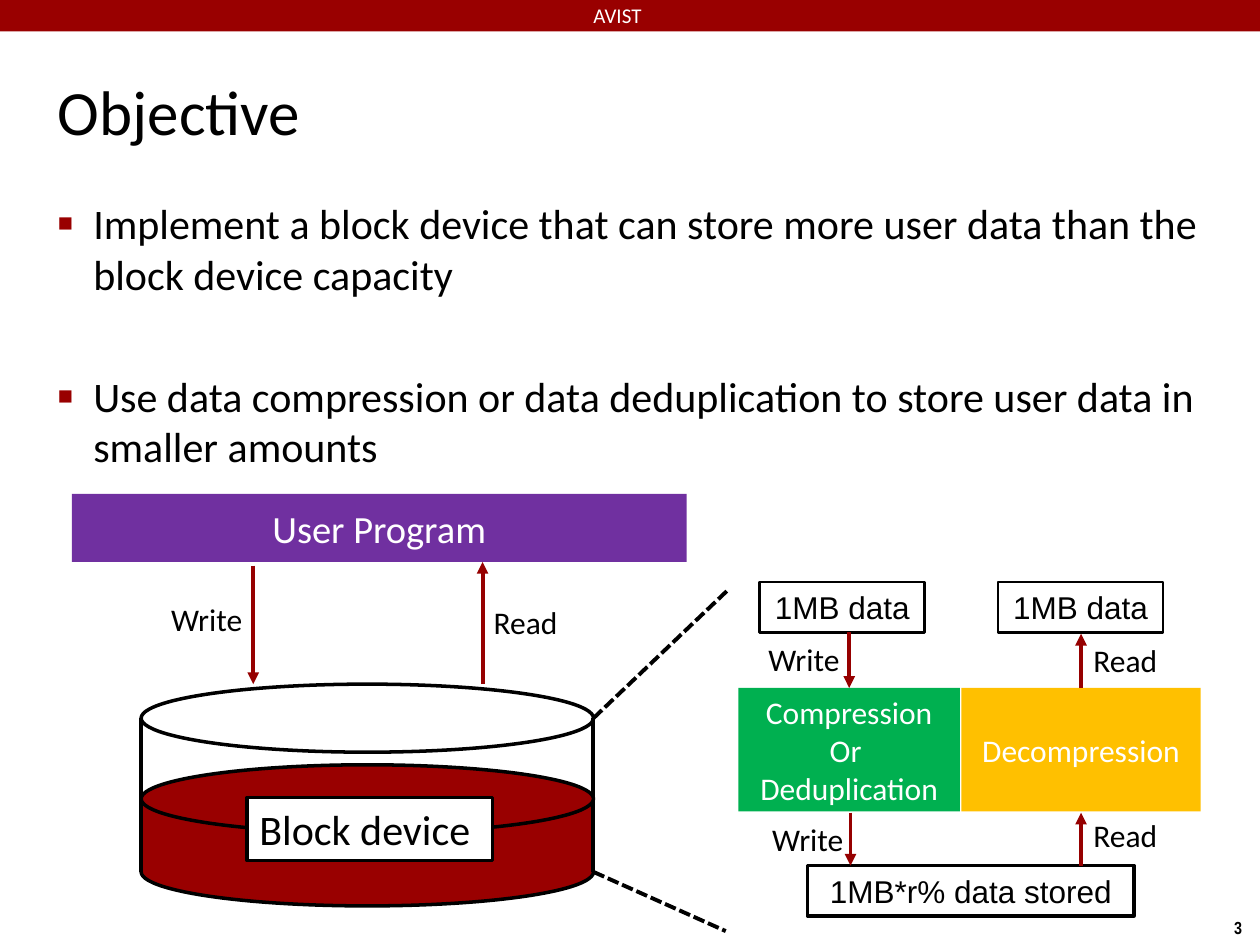
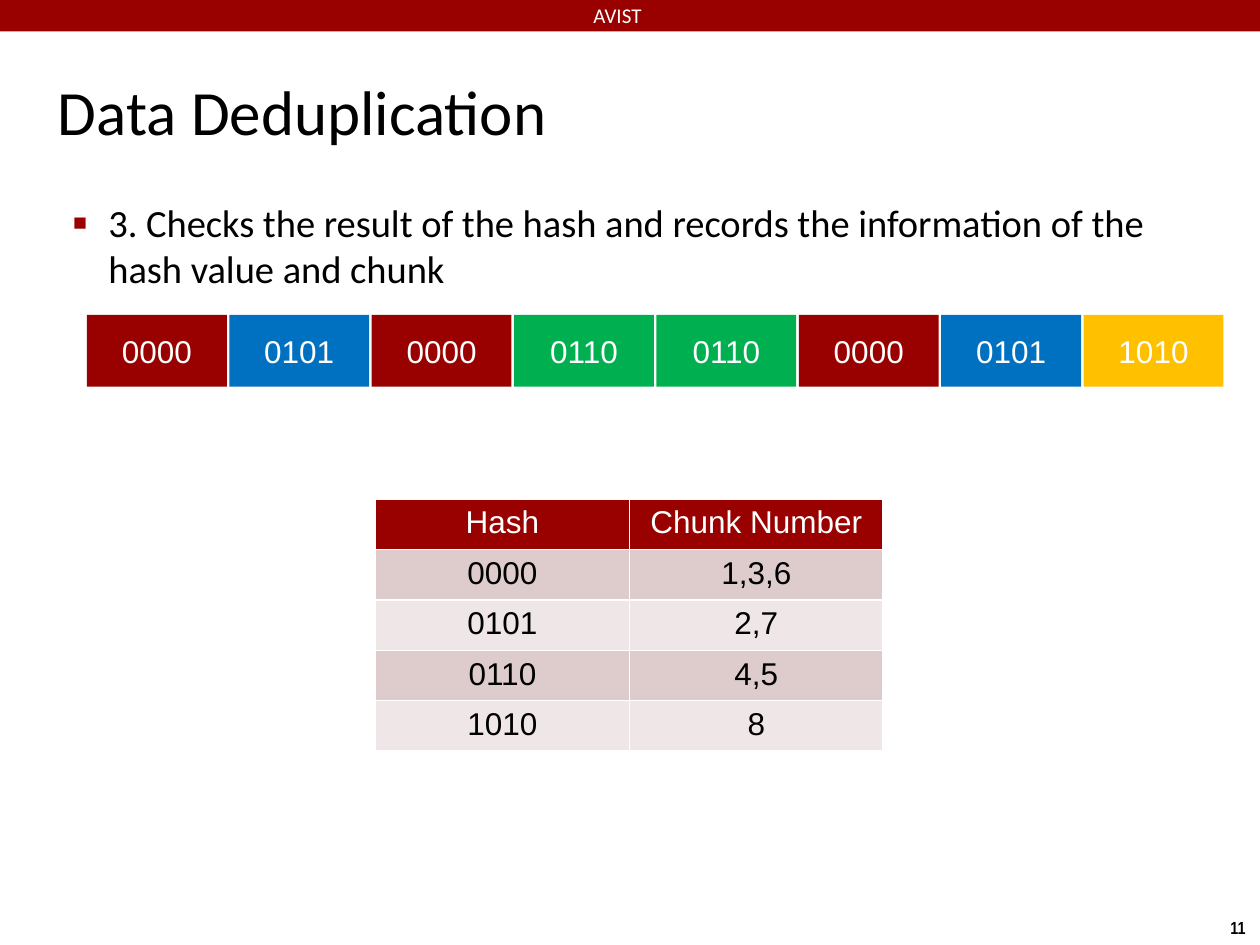
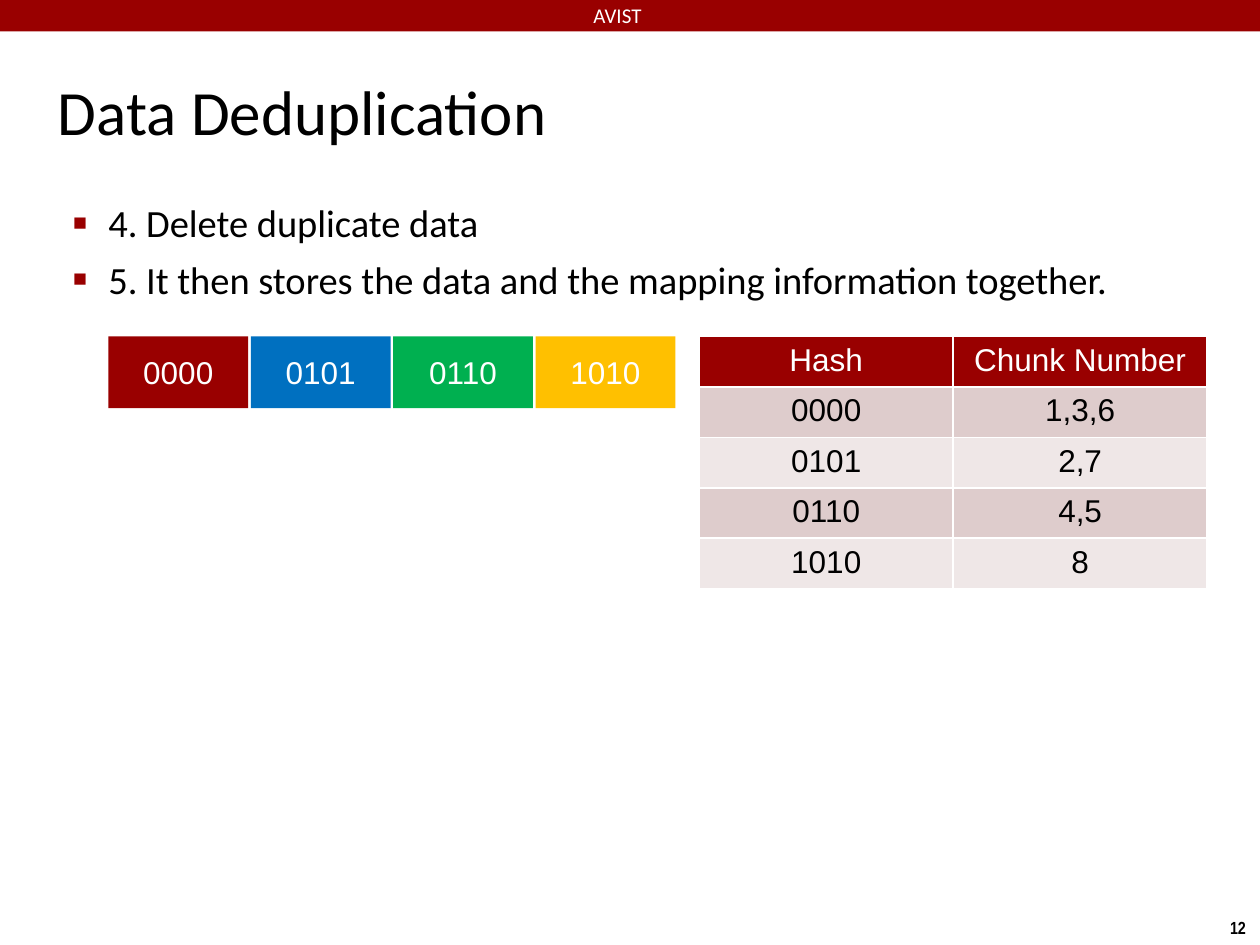
"""Build three slides on block device compression and deduplication."""
from lxml.etree import SubElement
from pptx import Presentation
from pptx.dml.color import RGBColor
from pptx.enum.dml import MSO_LINE
from pptx.enum.shapes import MSO_CONNECTOR, MSO_SHAPE
from pptx.enum.text import MSO_ANCHOR, MSO_AUTO_SIZE, PP_ALIGN
from pptx.oxml.ns import qn
from pptx.util import Pt

PX = 9144
SLIDE_WIDTH, SLIDE_HEIGHT = 1000, 750
CRIMSON = RGBColor(0x99, 0x00, 0x00)
ARROW_RED = RGBColor(0x96, 0x00, 0x00)
PURPLE = RGBColor(0x70, 0x30, 0xA0)
BLUE = RGBColor(0x00, 0x70, 0xC0)
GREEN = RGBColor(0x00, 0xB0, 0x50)
AMBER = RGBColor(0xFF, 0xC0, 0x00)
ROSE = RGBColor(0xDE, 0xCC, 0xCC)
PALE_ROSE = RGBColor(0xEF, 0xE7, 0xE7)
BLACK = RGBColor(0x00, 0x00, 0x00)
WHITE = RGBColor(0xFF, 0xFF, 0xFF)

HASH_COLORS = {"0000": CRIMSON, "0101": BLUE, "0110": GREEN, "1010": AMBER}
HASH_ROWS = [("Hash", "Chunk Number"), ("0000", "1,3,6"), ("0101", "2,7"),
             ("0110", "4,5"), ("1010", "8")]
TITLE_BOX = (42, 28, 917, 119)


def px(*lengths):
    return [length * PX for length in lengths]


def apply(target, values):
    for name, value in values.items():
        setattr(target, name, value)


class Deck:
    """Hold the shared style and the current slide."""

    def __init__(self):
        self.presentation = Presentation()
        apply(self.presentation, {"slide_width": SLIDE_WIDTH * PX,
                                  "slide_height": SLIDE_HEIGHT * PX})
        self.slide = None

    def new_slide(self, title, number):
        self.slide = self.presentation.slides.add_slide(self.presentation.slide_layouts[1])
        self.box((0, 0, SLIDE_WIDTH, 25), CRIMSON)
        frame = self.place(self.slide.shapes.title, TITLE_BOX, MSO_ANCHOR.MIDDLE)
        self.add_text(frame, [title], 36)
        self.label("AVIST", (471, 2, 60, 22), 12, color=WHITE, inset=0)
        self.label(number, (952, 723, 61, 30), 10, font="Arial Narrow",
                   bold=True, align=PP_ALIGN.CENTER)

    def set_insets(self, frame, inset):
        sides = ("left", "top", "right", "bottom")
        apply(frame, {f"margin_{side}": inset * PX for side in sides})

    def place(self, shape, box, anchor):
        apply(shape, dict(zip(("left", "top", "width", "height"), px(*box))))
        frame = shape.text_frame
        apply(frame, {"auto_size": MSO_AUTO_SIZE.NONE, "word_wrap": True,
                      "vertical_anchor": anchor})
        self.set_insets(frame, 4)
        return frame

    def add_text(self, frame, lines, size, color=BLACK, font="Calibri",
                 align=PP_ALIGN.LEFT, bold=False):
        for index, line in enumerate(lines):
            paragraph = frame.add_paragraph() if index else frame.paragraphs[0]
            paragraph.alignment = align
            run = paragraph.add_run()
            run.text = line
            apply(run.font, {"name": font, "size": Pt(size), "bold": bold})
            run.font.color.rgb = color

    def bullets(self, lines, box, size, level=0, gap=6):
        frame = self.place(self.slide.placeholders[1], box, MSO_ANCHOR.TOP)
        self.add_text(frame, lines, size)
        for index, paragraph in enumerate(frame.paragraphs):
            apply(paragraph, {"level": level, "space_before": Pt(gap if index else 6)})
            properties = paragraph._p.get_or_add_pPr()
            properties.set("marL", str(28 * PX))
            properties.set("indent", str(-28 * PX))
            color = SubElement(properties, qn("a:buClr"))
            SubElement(color, qn("a:srgbClr"), val=str(CRIMSON))
            SubElement(properties, qn("a:buSzPct"), val="60000")
            SubElement(properties, qn("a:buFont"), typeface="Arial")
            SubElement(properties, qn("a:buChar"), char="■")

    def label(self, text, box, size=18, inset=None, **style):
        frame = self.slide.shapes.add_textbox(*px(*box)).text_frame
        frame.word_wrap = False
        if inset is not None:
            self.set_insets(frame, inset)
        self.add_text(frame, [text], size, **style)

    def box(self, box, fill, lines=(), size=18, border=0, kind=MSO_SHAPE.RECTANGLE,
            color=WHITE, align=PP_ALIGN.CENTER, **style):
        shape = self.slide.shapes.add_shape(kind, *px(*box))
        shape.shadow.inherit = False
        shape.fill.solid()
        shape.fill.fore_color.rgb = fill
        if border:
            shape.line.color.rgb = BLACK
            shape.line.width = Pt(border)
        else:
            shape.line.fill.background()
        apply(shape.text_frame, {"word_wrap": True, "vertical_anchor": MSO_ANCHOR.MIDDLE})
        self.add_text(shape.text_frame, lines, size, color=color, align=align, **style)

    def line(self, start, end, color=BLACK, dash=None, arrow=False):
        connector = self.slide.shapes.add_connector(MSO_CONNECTOR.STRAIGHT,
                                                    *px(*start, *end))
        connector.line.color.rgb = color
        apply(connector.line, {"width": Pt(2.25), "dash_style": dash})
        if arrow:
            SubElement(connector.line._get_or_add_ln(), qn("a:tailEnd"), type="triangle")
        SubElement(connector._element.spPr, qn("a:effectLst"))

    def chunks(self, hashes, left, top):
        for index, value in enumerate(hashes):
            self.box((left + index * 113, top, 111, 57), HASH_COLORS[value],
                     [value], font="Arial")

    def table(self, rows, left, top):
        row_height = 38
        table = self.slide.shapes.add_table(
            len(rows), len(rows[0]), *px(left, top, 403, row_height * len(rows))).table
        for row_index, values in enumerate(rows):
            table.rows[row_index].height = row_height * PX
            fill = (ROSE if row_index % 2 else PALE_ROSE) if row_index else CRIMSON
            for column_index, value in enumerate(values):
                cell = table.cell(row_index, column_index)
                self.add_text(cell.text_frame, [value], 18, font="Arial",
                              color=BLACK if row_index else WHITE, align=PP_ALIGN.CENTER)
                self.cell_borders(cell)
                cell.fill.solid()
                cell.fill.fore_color.rgb = fill

    def cell_borders(self, cell):
        properties = cell._tc.get_or_add_tcPr()
        for side in "LRTB":
            border = SubElement(properties, qn(f"a:ln{side}"), w=str(int(Pt(1))))
            SubElement(SubElement(border, qn("a:solidFill")), qn("a:srgbClr"),
                       val=str(WHITE))


def draw_block_device(deck):
    left, right, width, height = 112, 471, 359, 54
    deck.box((left, 665, width, height), CRIMSON, border=2, kind=MSO_SHAPE.OVAL)
    deck.box((left, 638, width, height), CRIMSON)
    deck.box((left, 543, width, height), WHITE, border=2, kind=MSO_SHAPE.OVAL)
    for side in (left, right):
        deck.line((side, 570), (side, 692))
    deck.box((left, 607, width, height), CRIMSON, border=2, kind=MSO_SHAPE.OVAL)
    deck.box((196, 633, 195, 50), WHITE, ["Block device"], 24, border=2,
             color=BLACK, align=PP_ALIGN.LEFT)
    for start, end in (((right, 570), (578, 468)), ((right, 692), (576, 739))):
        deck.line(start, end, dash=MSO_LINE.SQUARE_DOT)


def objective_slide(deck):
    deck.new_slide("Objective", "3")
    deck.bullets(
        ["Implement a block device that can store more user data than the block device capacity",
         "Use data compression or data deduplication to store user data in smaller amounts"],
        (42, 153, 917, 577), 24, gap=41)
    deck.box((57, 392, 488, 54), PURPLE, ["User Program"], 22)
    draw_block_device(deck)
    deck.box((586, 546, 176, 98), GREEN, ["Compression", "Or ", "Deduplication"])
    deck.box((763, 546, 190, 98), AMBER, ["Decompression"])
    for left in (603, 792):
        deck.box((left, 462, 131, 40), WHITE, ["1MB data"], border=1.5,
                 color=BLACK, font="Arial")
    deck.box((641, 687, 259, 40), WHITE, ["1MB*r% data stored"], border=2,
             color=BLACK, font="Arial")
    for x, start, end in ((201, 449, 543), (383, 543, 446), (674, 502, 546),
                          (675, 645, 687), (858, 687, 645), (858, 546, 503)):
        deck.line((x, start), (x, end), ARROW_RED, arrow=True)
    for left, top in ((126, 471), (600, 503), (603, 646)):
        deck.label("Write", (left, top, 78, 40))
    for left, top in ((382, 474), (858, 504), (858, 643)):
        deck.label("Read", (left, top, 71, 40))


def deduplication_slide(deck, number, steps, hashes, chunk_corner, table_corner):
    deck.new_slide("Data Deduplication", number)
    deck.bullets(steps, (54, 154, 917, 562), 22, level=1)
    deck.chunks(hashes, *chunk_corner)
    deck.table(HASH_ROWS, *table_corner)


def main():
    deck = Deck()
    objective_slide(deck)
    deduplication_slide(
        deck, "11",
        ["3. Checks the result of the hash and records the information of the hash value and chunk"],
        ["0000", "0101", "0000", "0110", "0110", "0000", "0101", "1010"],
        (69, 250), (298, 396))
    deduplication_slide(
        deck, "12",
        ["4. Delete duplicate data",
         "5. It then stores the data and the mapping information together."],
        HASH_COLORS, (86, 267), (555, 267))
    deck.presentation.save("out.pptx")


if __name__ == "__main__":
    main()
